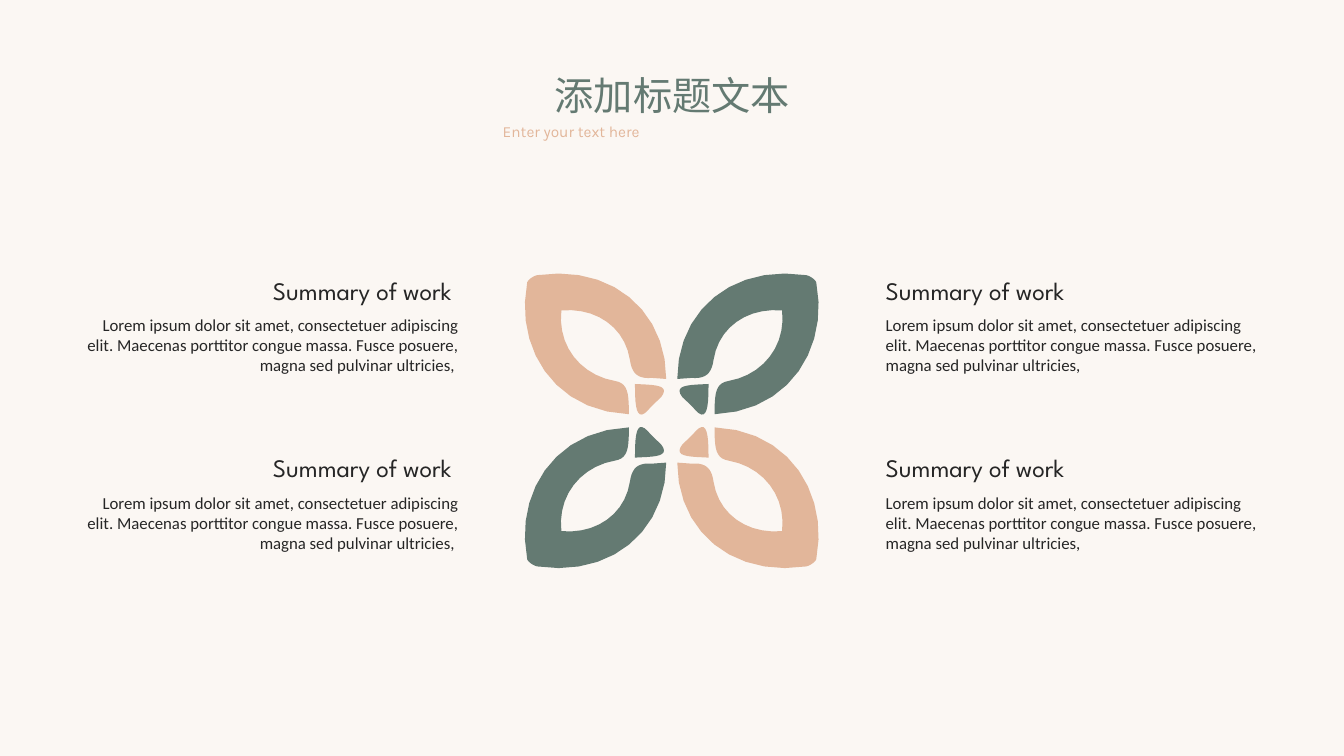
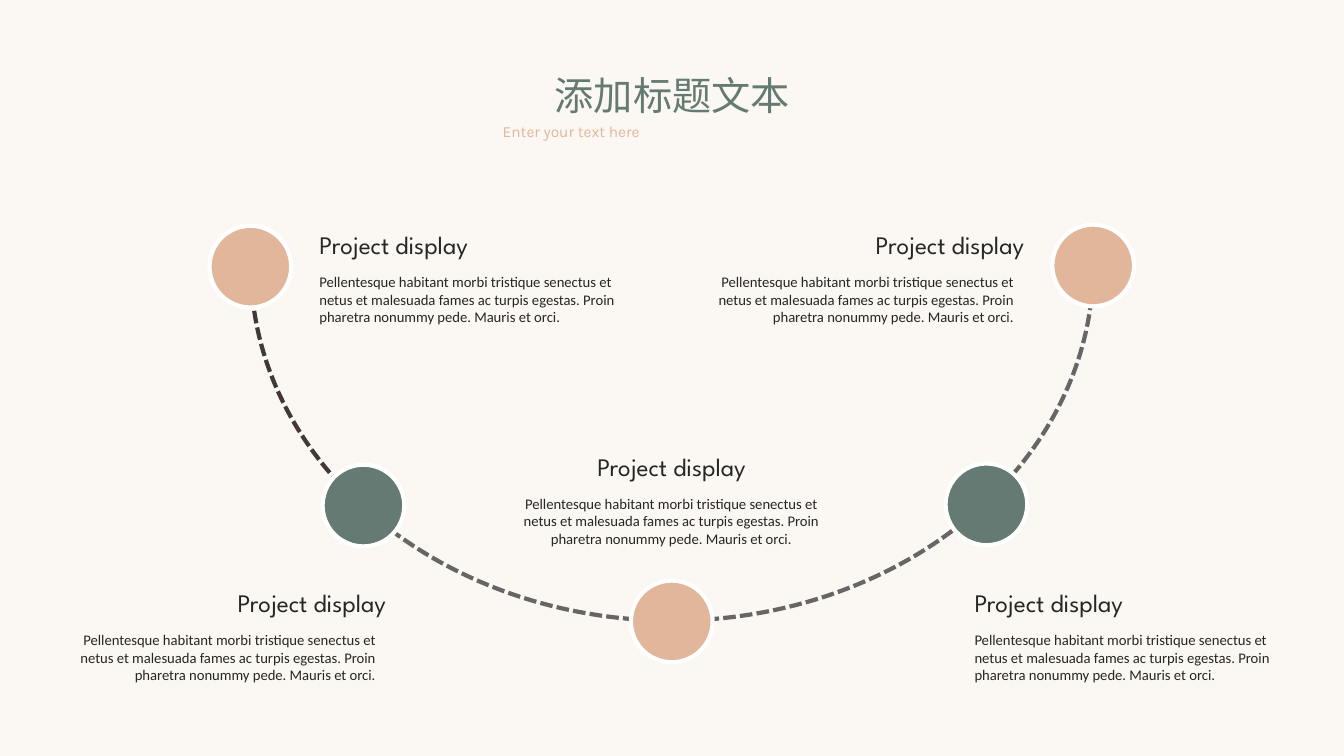
from lxml import etree
from pptx import Presentation
from pptx.dml.color import RGBColor
from pptx.enum.dml import MSO_LINE
from pptx.enum.shapes import MSO_SHAPE
from pptx.enum.text import MSO_ANCHOR, MSO_AUTO_SIZE, PP_ALIGN
from pptx.oxml.ns import qn
from pptx.util import Cm, Pt

LEFT, RIGHT, CENTER, JUSTIFY = PP_ALIGN.LEFT, PP_ALIGN.RIGHT, PP_ALIGN.CENTER, PP_ALIGN.JUSTIFY
ARC, OVAL = MSO_SHAPE.ARC, MSO_SHAPE.OVAL
TOP = MSO_ANCHOR.TOP
GROW = MSO_AUTO_SIZE.SHAPE_TO_FIT_TEXT
SHORT_DASH = MSO_LINE.SQUARE_DOT

COLORS = {
    "cream": "FBF7F3",
    "green": "647A72",
    "peach": "E2B69A",
    "ink": "262626",
    "brown": "413837",
    "gray": "666666",
    "white": "FFFFFF",
}
RGB = {name: RGBColor.from_string(value) for name, value in COLORS.items()}
HEADING = {"size": 18, "font": "League Spartan"}


def add_text(slide, text, left, top, width, height, size=12, font="Calibri",
             color="ink", align=LEFT, wrap=True, box=None):
    area = [Cm(value) for value in (left, top, width, height)]
    if box is None:
        box = slide.shapes.add_textbox(*area)
    box.left, box.top, box.width, box.height = area
    frame = box.text_frame
    frame.word_wrap = wrap
    frame.auto_size = GROW
    frame.vertical_anchor = TOP
    paragraph = frame.paragraphs[0]
    paragraph.alignment = align
    run = paragraph.add_run()
    run.text = text
    run.font.size = Pt(size)
    run.font.name = font
    run.font.color.rgb = RGB[color]
    etree.SubElement(run.font._element, qn("a:ea"), typeface=font)


def curve_points(start, curves, steps=10):
    points = [start]
    for x1, y1, x2, y2, x3, y3 in curves:
        x0, y0 = points[-1]
        for step in range(1, steps + 1):
            t = step / steps
            u = 1 - t
            a, b, c, d = u ** 3, 3 * u * u * t, 3 * u * t * t, t ** 3
            points.append((a * x0 + b * x1 + c * x2 + d * x3,
                           a * y0 + b * y1 + c * y2 + d * y3))
    return points


prs = Presentation()
prs.slide_width, prs.slide_height = Cm(33.87), Cm(19.05)
background = prs.slide_master.background.fill
background.solid()
background.fore_color.rgb = RGB["cream"]

slides = []
for _ in range(2):
    slide = prs.slides.add_slide(prs.slide_layouts[5])
    add_text(slide, "添加标题文本", 13.69, 1.68, 6.5, 1.45, size=28, font="Noto Sans CJK SC",
             color="green", align=CENTER, wrap=False, box=slide.shapes.title)
    add_text(slide, "Enter your text here", 12.42, 2.95, 9.02, 0.74, size=11, font="Karla",
             color="peach", align=JUSTIFY)
    slides.append(slide)
summary, project = slides

petal = curve_points((672, 376), [
    (672, 308, 727, 262, 800, 273),
    (804, 274, 810, 278, 810, 281),
    (822, 343, 785, 408, 709, 411),
    (709, 390, 710, 380, 723, 378),
    (757, 372, 780, 343, 776, 308),
    (741, 305, 713, 325, 708, 357),
    (706, 371, 700, 376, 686, 375),
])
seed = curve_points((703, 381), [
    (703, 402, 702, 420, 690, 407),
    (686, 402, 681, 398, 677, 394),
    (668, 382, 682, 382, 703, 381),
])
unit = Cm(2.54) / 100
center_x, center_y = 666.5, 417.5
for side_x, side_y in ((-1, 1), (1, 1), (-1, -1), (1, -1)):
    color = "green" if side_x == side_y else "peach"
    for outline in (petal, seed):
        points = [((center_x + side_x * (x - center_x)) * unit,
                   (center_y + side_y * (y - center_y)) * unit) for x, y in outline]
        builder = summary.shapes.build_freeform(*points[0])
        builder.add_line_segments(points[1:], close=True)
        leaf = builder.convert_to_shape()
        leaf.shadow.inherit = False
        leaf.fill.solid()
        leaf.fill.fore_color.rgb = RGB[color]
        leaf.line.fill.background()

summary_body = ("Lorem ipsum dolor sit amet, consectetuer adipiscing elit. Maecenas porttitor "
                "congue massa. Fusce posuere, magna sed pulvinar ultricies,")
for top in (6.81, 11.28):
    for heading_left, body_left, align, ending in ((3.28, 1.85, RIGHT, " "),
                                                   (22.07, 22.07, LEFT, "")):
        add_text(summary, "Summary of work" + ending, heading_left, top, 8.51, 1.02,
                 align=align, **HEADING)
        add_text(summary, summary_body + ending, body_left, top + 1, 9.96, 1.8, align=align)

for start, end, color in ((194.45, 0, "brown"), (162.28, 193.22, "gray"),
                          (131.09, 161.63, "gray"), (107.85, 130.5, "gray")):
    track = project.shapes.add_shape(ARC, Cm(6.32), Cm(-2.24), Cm(21.23), Cm(17.88))
    track.rotation = 180
    track.adjustments[0] = start
    track.adjustments[1] = end
    track.shadow.inherit = False
    track.fill.background()
    track.line.color.rgb = RGB[color]
    track.line.width = Pt(3)
    track.line.dash_style = SHORT_DASH

for left, top, color in ((5.28, 5.69, "peach"), (15.9, 14.63, "peach"), (26.52, 5.66, "peach"),
                         (23.83, 11.68, "green"), (8.13, 11.71, "green")):
    milestone = project.shapes.add_shape(OVAL, Cm(left), Cm(top), Cm(2.06), Cm(2.06))
    milestone.shadow.inherit = False
    milestone.fill.solid()
    milestone.fill.fore_color.rgb = RGB[color]
    milestone.line.color.rgb = RGB["white"]
    milestone.line.width = Pt(3)

project_body = ("Pellentesque habitant morbi tristique senectus et netus et malesuada fames ac "
                "turpis egestas. Proin pharetra nonummy pede. Mauris et orci.")
for left, top, align in ((1.47, 14.68, RIGHT), (24.31, 14.68, LEFT), (17.55, 5.66, RIGHT),
                         (7.8, 5.66, LEFT), (12.67, 11.25, CENTER)):
    inset = 0 if align == LEFT else 0.25
    add_text(project, "Project display", left, top, 8.51, 1.02, align=align, **HEADING)
    add_text(project, project_body, left + inset, top + 1.09, 8, 1.6, size=10.5, align=align)

prs.save("out.pptx")
